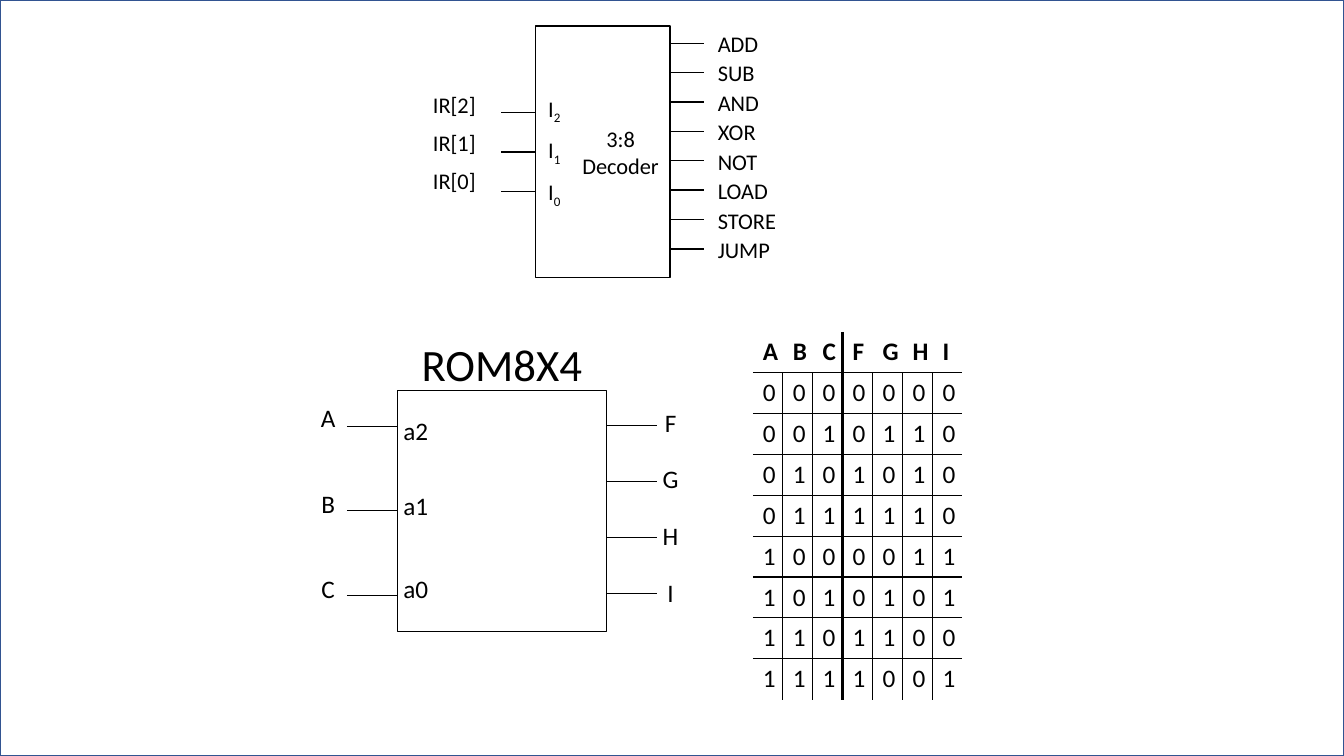
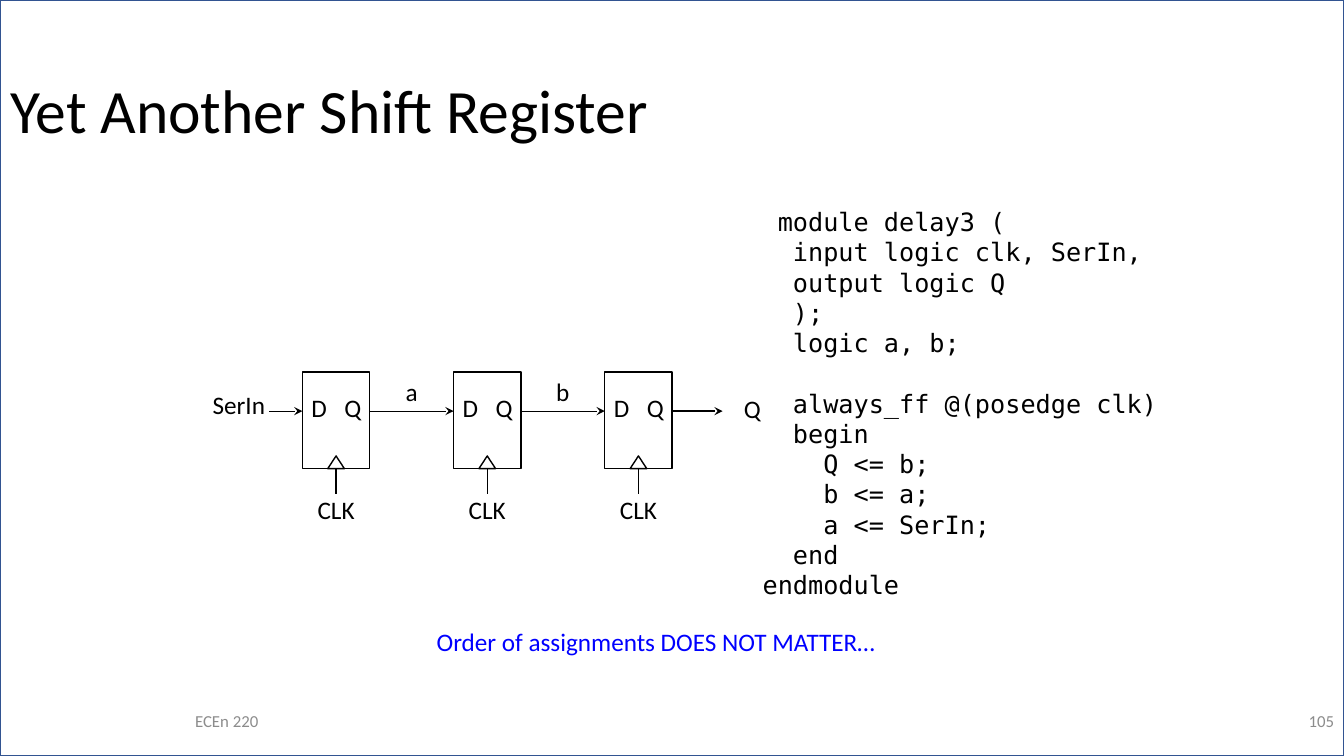
import dataclasses

import lxml.etree
import pptx
import pptx.dml.color
import pptx.enum.shapes
import pptx.enum.text
import pptx.oxml.ns
import pptx.util

Cm = pptx.util.Cm
Pt = pptx.util.Pt
Shape = pptx.enum.shapes.MSO_SHAPE
Align = pptx.enum.text.PP_ALIGN
Anchor = pptx.enum.text.MSO_ANCHOR
qn = pptx.oxml.ns.qn


@dataclasses.dataclass(frozen=True)
class Theme:
    """Colours, fonts, type sizes and line weights."""

    ink: str = "000000"
    paper: str = "FFFFFF"
    frame: str = "325491"
    muted: str = "8C8C8C"
    accent: str = "0000FF"
    body_font: str = "Calibri"
    code_font: str = "DejaVu Sans Mono"
    title: float = 44
    heading: float = 32
    body: float = 18
    small: float = 16
    footer: float = 12
    code_leading: float = 21.6
    hairline: float = 0.25
    thin: float = 0.75
    line: float = 1
    heavy: float = 2.25


THEME = Theme()
WIDTH, HEIGHT = Cm(33.87), Cm(19.05)
NO_TABLE_STYLE = "{2D5ABB26-0587-4C30-8999-92F81FD0307C}"

OPERATIONS = ["ADD", "SUB", "AND", "XOR", "NOT", "LOAD", "STORE", "JUMP"]
ROM_WORDS = ["0000", "0110", "1010", "1110", "0011", "0101", "1100", "1001"]
CODE_BLOCKS = [
    [
        " module delay3 (",
        "  input logic clk, SerIn,",
        "  output logic Q",
        "  );",
        "  logic a, b;",
    ],
    [
        "  always_ff @(posedge clk)",
        "  begin",
        "    Q <= b;",
        "    b <= a;",
        "    a <= SerIn;",
        "  end",
        "endmodule",
    ],
]


def color(value):
    """Return an RGB colour from its hexadecimal form."""
    return pptx.dml.color.RGBColor.from_string(value)


def style(paragraph, size=THEME.body, ink=THEME.ink, font=THEME.body_font, align=Align.CENTER):
    """Set the font and alignment of a whole paragraph."""
    paragraph.alignment = align
    paragraph.font.size = Pt(size)
    paragraph.font.name = font
    paragraph.font.color.rgb = color(ink)


def write(frame, lines, **options):
    """Fill a text frame with one styled paragraph for each line."""
    frame.text = "\n".join(lines)
    for paragraph in frame.paragraphs:
        style(paragraph, **options)
    return frame


def add_text(shapes, lines, left, top, width, height=Cm(1.02), anchor=Anchor.TOP, **options):
    """Add a wrapping text box and return its text frame."""
    frame = shapes.add_textbox(left, top, width, height).text_frame
    frame.word_wrap = True
    frame.vertical_anchor = anchor
    return write(frame, lines, **options)


def add_label(shapes, text, center, top):
    """Add a short label centred on a horizontal position."""
    add_text(shapes, [text], center - Cm(0.75), top, Cm(1.5))


def add_box(shapes, left, top, width, height, kind=Shape.RECTANGLE, ink=THEME.ink, weight=THEME.line, fill=None):
    """Add an outlined shape without shadow."""
    shape = shapes.add_shape(kind, left, top, width, height)
    shape.shadow.inherit = False
    if fill:
        shape.fill.solid()
        shape.fill.fore_color.rgb = color(fill)
    else:
        shape.fill.background()
    shape.line.color.rgb = color(ink)
    shape.line.width = Pt(weight)
    return shape


def add_wire(shapes, start, end, weight=THEME.line, arrow=False):
    """Add a straight wire between two points."""
    wire = shapes.add_connector(pptx.enum.shapes.MSO_CONNECTOR.STRAIGHT, *start, *end)
    wire.line.color.rgb = color(THEME.ink)
    wire.line.width = Pt(weight)
    properties = wire.element.spPr
    if arrow:
        tail = lxml.etree.SubElement(properties.find(qn("a:ln")), qn("a:tailEnd"))
        tail.set("type", "stealth")
    lxml.etree.SubElement(properties, qn("a:effectLst"))
    return wire


def add_inputs(shapes, block, pitch, length, weight):
    """Add three wires spread about the middle of a block's left side."""
    for step in (-1, 0, 1):
        y = block.top + block.height // 2 + step * pitch
        wire = add_wire(shapes, (block.left - length, y), (block.left, y), weight)
        if step == 0:
            wire.end_connect(block, 1)


def add_outputs(shapes, block, count, offset, pitch, length, weight):
    """Add evenly spaced wires on a block's right side."""
    right = block.left + block.width
    for index in range(count):
        y = block.top + offset + index * pitch
        add_wire(shapes, (right, y), (right + length, y), weight)


def add_decoder(shapes, left, top):
    """Draw the instruction decoder with its pins and signal names."""
    block = add_box(shapes, left, top, Cm(3.4), Cm(6.34))
    frame = write(block.text_frame, ["3:8", "Decoder"], size=THEME.small)
    frame.word_wrap = False
    frame.margin_left = Cm(1.12)
    frame.margin_right = Cm(0.22)
    add_inputs(shapes, block, Cm(0.99), Cm(0.86), THEME.line)
    add_outputs(shapes, block, len(OPERATIONS), Cm(0.43), Cm(0.74), Cm(0.86), THEME.line)

    digits = "210"
    signals = add_text(shapes, [f"IR[{digit}]" for digit in digits], left - Cm(2.97), top + Cm(1.5),
                       Cm(1.86), Cm(2.87), Anchor.MIDDLE, size=THEME.small)
    pins = add_text(shapes, ["I"] * 3, left + Cm(0.02), top + Cm(1.73),
                    Cm(0.92), Cm(2.87), Anchor.MIDDLE, size=THEME.small)
    for paragraph, digit in zip(pins.paragraphs, digits):
        subscript = paragraph.add_run()
        subscript.text = digit
        subscript.font._element.set("baseline", "-25000")
    for paragraph in signals.paragraphs + pins.paragraphs:
        paragraph.space_after = Pt(8)

    operations = add_text(shapes, OPERATIONS, left + Cm(4.35), top - Cm(0.1), Cm(2.6), Cm(6.96),
                          size=THEME.small, align=Align.LEFT)
    for paragraph in operations.paragraphs:
        paragraph.line_spacing = 1.1


def add_rom(shapes, left, top):
    """Draw the memory block with its address and data pins."""
    block = add_box(shapes, left, top, Cm(5.28), Cm(6.07), weight=THEME.hairline)
    right = left + block.width
    add_text(shapes, ["ROM8X4"], left, top - Cm(1.47), block.width, Cm(1.63), size=THEME.heading)
    add_inputs(shapes, block, Cm(2.12), Cm(1.27), THEME.hairline)
    add_outputs(shapes, block, 4, Cm(0.89), Cm(1.41), Cm(1.27), THEME.hairline)
    for text, offset in zip(["a2", "a1", "a0"], [0.51, 2.41, 4.5]):
        add_label(shapes, text, left + Cm(0.47), top + Cm(offset))
    for index, text in enumerate("ABC"):
        add_label(shapes, text, left - Cm(1.74), top + Cm(0.18) + index * Cm(2.16))
    for index, text in enumerate("FGHI"):
        add_label(shapes, text, right + Cm(1.61), top + Cm(0.3) + index * Cm(1.43))


def set_borders(cell, weights):
    """Draw the sides of a cell that have a weight and clear the others."""
    properties = cell._tc.get_or_add_tcPr()
    for position, side in enumerate("LRTB"):
        weight = weights.get(side, 0)
        line = lxml.etree.Element(qn(f"a:ln{side}"), w=str(Pt(weight)))
        if weight:
            fill = lxml.etree.SubElement(line, qn("a:solidFill"))
            lxml.etree.SubElement(fill, qn("a:srgbClr"), val=THEME.ink)
        else:
            lxml.etree.SubElement(line, qn("a:noFill"))
        properties.insert(position, line)


def add_truth_table(shapes, left, top):
    """Add the table of memory contents, ruled between inputs and outputs."""
    rows = ["ABCFGHI"] + [f"{address:03b}{word}" for address, word in enumerate(ROM_WORDS)]
    last_row, last_column = len(rows) - 1, len(rows[0]) - 1
    table = shapes.add_table(len(rows), len(rows[0]), left, top, Cm(5.29), Cm(9.27)).table
    table.first_row = table.horz_banding = False
    table._tbl.tblPr.find(qn("a:tableStyleId")).text = NO_TABLE_STYLE

    def vertical(row, boundary):
        """Return the weight of the rule to the right of a column."""
        if boundary == 2:
            return THEME.heavy
        return THEME.line if row and 0 <= boundary < last_column else 0

    for row, values in enumerate(rows):
        for column, value in enumerate(values):
            cell = table.cell(row, column)
            cell.fill.background()
            paragraph = write(cell.text_frame, [value], align=Align.LEFT).paragraphs[0]
            paragraph.font.bold = row == 0
            set_borders(cell, {
                "L": vertical(row, column - 1),
                "R": vertical(row, column),
                "T": THEME.line if row else 0,
                "B": THEME.line if row < last_row else 0,
            })


def add_flip_flop(shapes, left, top):
    """Draw one clocked stage as a group."""
    parts = shapes.add_group_shape().shapes
    width, height = Cm(1.7), Cm(2.44)
    middle, bottom = left + width // 2, top + height
    block = add_box(parts, left, top, width, height, fill=THEME.paper)
    for quarter, text in ((1, "D"), (3, "Q")):
        add_label(parts, text, left + quarter * width // 4, top + Cm(0.38))
    add_box(parts, middle - Cm(0.21), bottom - Cm(0.32), Cm(0.42), Cm(0.32), Shape.ISOSCELES_TRIANGLE)
    clock = add_wire(parts, (middle, bottom), (middle, bottom + Cm(0.64)))
    clock.begin_connect(block, 2)
    add_label(parts, "CLK", middle, top + Cm(2.95))


def add_shift_register(shapes, left, top):
    """Draw three chained stages with their serial input and output."""
    pitch, width, y = Cm(3.81), Cm(1.7), top + Cm(0.99)
    add_text(shapes, ["SerIn"], left - Cm(2.69), top + Cm(0.31), Cm(2), align=Align.RIGHT)
    add_wire(shapes, (left - Cm(0.84), y), (left, y), THEME.thin, arrow=True)
    for index in range(3):
        add_flip_flop(shapes, left + index * pitch, top)
    for index, text in enumerate("ab"):
        start, end = left + index * pitch + width, left + (index + 1) * pitch
        add_wire(shapes, (start, y), (end, y), THEME.thin, arrow=True)
        add_label(shapes, text, (start + end) // 2, top)
    right = left + 2 * pitch + width
    add_wire(shapes, (right, y), (right + Cm(1.27), y), arrow=True)
    add_label(shapes, "Q", right + Cm(2.02), top + Cm(0.41))


def add_code(shapes, left, top):
    """Add the listing, with a line of space between its blocks."""
    lines = [line for block in CODE_BLOCKS for line in block]
    frame = add_text(shapes, lines, left, top, Cm(11), Cm(10.26), font=THEME.code_font, align=Align.LEFT)
    for paragraph in frame.paragraphs:
        paragraph.line_spacing = Pt(THEME.code_leading)
    frame.paragraphs[len(CODE_BLOCKS[0])].space_before = Pt(THEME.code_leading)


def add_title(slide, text):
    """Place and format the title placeholder."""
    title = slide.shapes.title
    title.left, title.top, title.width, title.height = Cm(0), Cm(1.02), Cm(29.21), Cm(3.68)
    frame = write(title.text_frame, [text], size=THEME.title, align=Align.LEFT)
    frame.auto_size = pptx.enum.text.MSO_AUTO_SIZE.NONE
    frame.vertical_anchor = Anchor.MIDDLE
    frame.paragraphs[0].line_spacing = 0.9


def add_footer(shapes, course, number):
    """Add the course name and the slide number."""
    options = {"top": Cm(17.65), "anchor": Anchor.MIDDLE, "size": THEME.footer, "ink": THEME.muted}
    add_text(shapes, [course], Cm(0), width=Cm(11.43), **options)
    add_text(shapes, [number], WIDTH - Cm(7.62), width=Cm(7.62), align=Align.RIGHT, **options)


def add_master_frame(presentation, slide):
    """Put the thin page border on the slide master."""
    border = add_box(slide.shapes, 0, 0, WIDTH, HEIGHT, ink=THEME.frame)
    presentation.slide_master.shapes.element.insert(2, border.element)


def build_logic_slide(presentation):
    """Build the slide with the decoder, the memory and its table."""
    slide = presentation.slides.add_slide(presentation.slide_layouts[6])
    add_master_frame(presentation, slide)
    add_decoder(slide.shapes, Cm(13.49), Cm(0.66))
    add_rom(slide.shapes, Cm(10.01), Cm(9.83))
    add_truth_table(slide.shapes, Cm(18.97), Cm(8.36))


def build_register_slide(presentation):
    """Build the slide with the shift register and its listing."""
    slide = presentation.slides.add_slide(presentation.slide_layouts[5])
    add_title(slide, "Yet Another Shift Register")
    add_code(slide.shapes, Cm(18.97), Cm(5.08))
    add_shift_register(slide.shapes, Cm(7.62), Cm(9.37))
    add_text(slide.shapes, ["Order of assignments DOES NOT MATTER…"], Cm(10.53), Cm(15.67), Cm(12), ink=THEME.accent)
    add_footer(slide.shapes, "ECEn 220", "105")


def main():
    """Build and save the presentation."""
    presentation = pptx.Presentation()
    presentation.slide_width, presentation.slide_height = WIDTH, HEIGHT
    build_logic_slide(presentation)
    build_register_slide(presentation)
    presentation.save("out.pptx")


if __name__ == "__main__":
    main()
